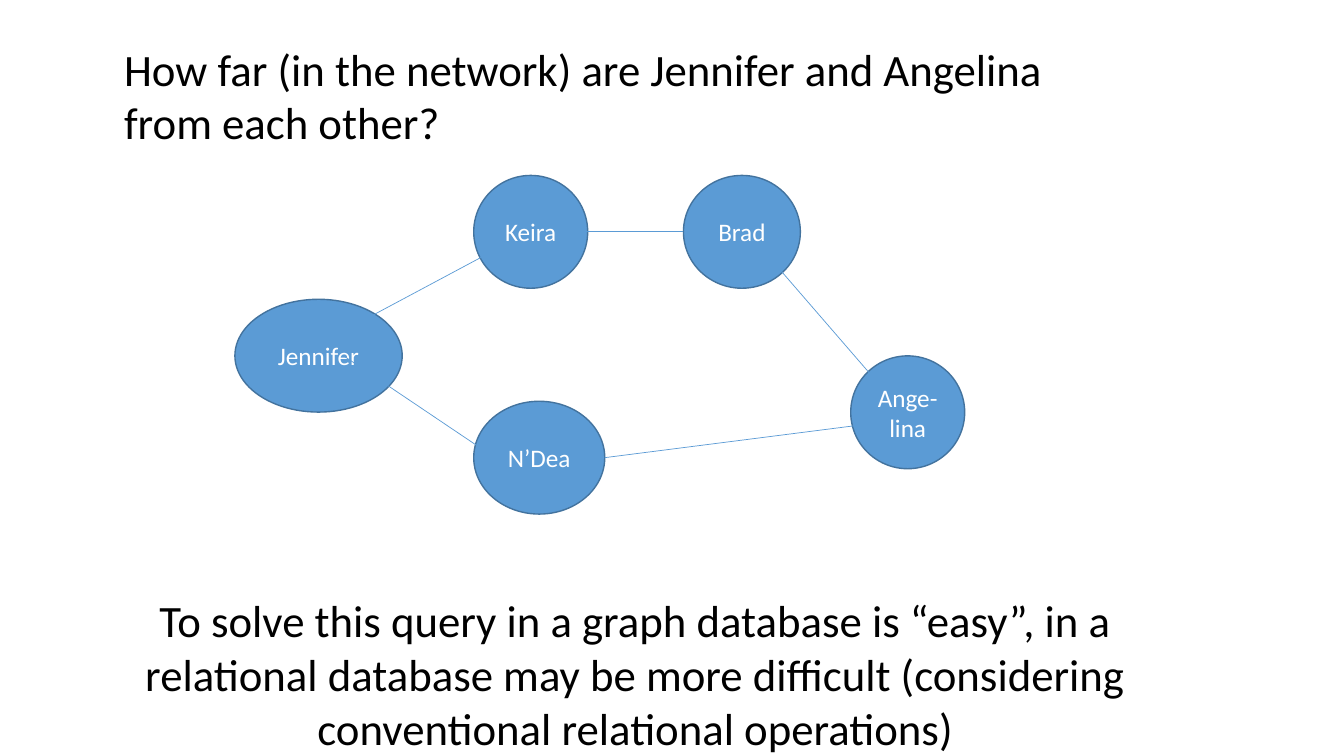
"""Build a slide about the distance between two people in a network."""
from dataclasses import dataclass

from lxml.etree import SubElement
from pptx import Presentation
from pptx.dml.color import RGBColor
from pptx.enum.shapes import MSO_CONNECTOR, MSO_SHAPE
from pptx.enum.text import MSO_ANCHOR, MSO_AUTO_SIZE, PP_ALIGN
from pptx.oxml.ns import qn
from pptx.slide import Slide
from pptx.text.text import TextFrame
from pptx.util import Pt

BLUE = RGBColor(0x5B, 0x9B, 0xD5)
DARK_BLUE = RGBColor(0x43, 0x73, 0x9E)
WHITE = RGBColor(0xFF, 0xFF, 0xFF)
BLACK = RGBColor(0x00, 0x00, 0x00)
FONT = "Calibri"
PERSON_HEIGHT = 80.6


@dataclass(frozen=True)
class Person:
    name: str
    left: float
    top: float
    width: float


@dataclass(frozen=True)
class Link:
    start_x: float
    start_y: float
    end_x: float
    end_y: float


PEOPLE = [
    Person("Jennifer", 167.8, 213.8, 119.5),
    Person("Keira", 338.4, 125.3, 81.4),
    Person("N’Dea", 338.4, 286.6, 93.6),
    Person("Brad", 488.2, 125.3, 83.5),
    Person("Ange-lina", 607.7, 254.2, 81.4),
]
LINKS = [
    Link(260.6, 228.2, 353.5, 178.6),
    Link(408.2, 165.6, 488.2, 165.6),
    Link(545, 178.6, 627.8, 274.3),
    Link(432, 326.9, 618.5, 303.1),
    Link(245.5, 254.2, 353.5, 326.9),
]


def write_text(frame: TextFrame, text: str, size: float, color: RGBColor,
               alignment: PP_ALIGN, anchor: MSO_ANCHOR) -> None:
    frame.text = text
    frame.word_wrap = True
    frame.vertical_anchor = anchor
    paragraph = frame.paragraphs[0]
    paragraph.alignment = alignment
    font = paragraph.runs[0].font
    font.name = FONT
    font.size = Pt(size)
    font.color.rgb = color


def add_person(slide: Slide, person: Person) -> None:
    shape = slide.shapes.add_shape(
        MSO_SHAPE.OVAL, Pt(person.left), Pt(person.top),
        Pt(person.width), Pt(PERSON_HEIGHT))
    shape.shadow.inherit = False
    shape.fill.solid()
    shape.fill.fore_color.rgb = BLUE
    shape.line.color.rgb = DARK_BLUE
    shape.line.width = Pt(1)
    write_text(shape.text_frame, person.name, 18, WHITE,
               PP_ALIGN.CENTER, MSO_ANCHOR.MIDDLE)


def add_link(slide: Slide, link: Link) -> None:
    connector = slide.shapes.add_connector(
        MSO_CONNECTOR.STRAIGHT, Pt(link.start_x), Pt(link.start_y),
        Pt(link.end_x), Pt(link.end_y))
    connector.line.color.rgb = BLUE
    connector.line.width = Pt(0.5)
    SubElement(connector._element.spPr, qn("a:effectLst"))


def add_question(slide: Slide) -> None:
    title = slide.shapes.title
    title.left, title.top = Pt(81.4), Pt(25.9)
    title.width, title.height = Pt(735.1), Pt(85)
    write_text(title.text_frame,
               "How far (in the network) are Jennifer and Angelina from each other?",
               32, BLACK, PP_ALIGN.LEFT, MSO_ANCHOR.TOP)
    title.text_frame.auto_size = MSO_AUTO_SIZE.NONE


def add_answer(slide: Slide) -> None:
    box = slide.shapes.add_textbox(Pt(69.8), Pt(419.8), Pt(768.2), Pt(123.8))
    write_text(box.text_frame,
               "To solve this query in a graph database is “easy”, in a relational "
               "database may be more difficult (considering conventional "
               "relational operations)",
               32, BLACK, PP_ALIGN.CENTER, MSO_ANCHOR.TOP)
    box.text_frame.auto_size = MSO_AUTO_SIZE.SHAPE_TO_FIT_TEXT


def main() -> None:
    presentation = Presentation()
    presentation.slide_width, presentation.slide_height = Pt(960), Pt(540)
    slide = presentation.slides.add_slide(presentation.slide_layouts[5])
    add_question(slide)
    for person in PEOPLE:
        add_person(slide, person)
    for link in LINKS:
        add_link(slide, link)
    add_answer(slide)
    presentation.save("out.pptx")


if __name__ == "__main__":
    main()
